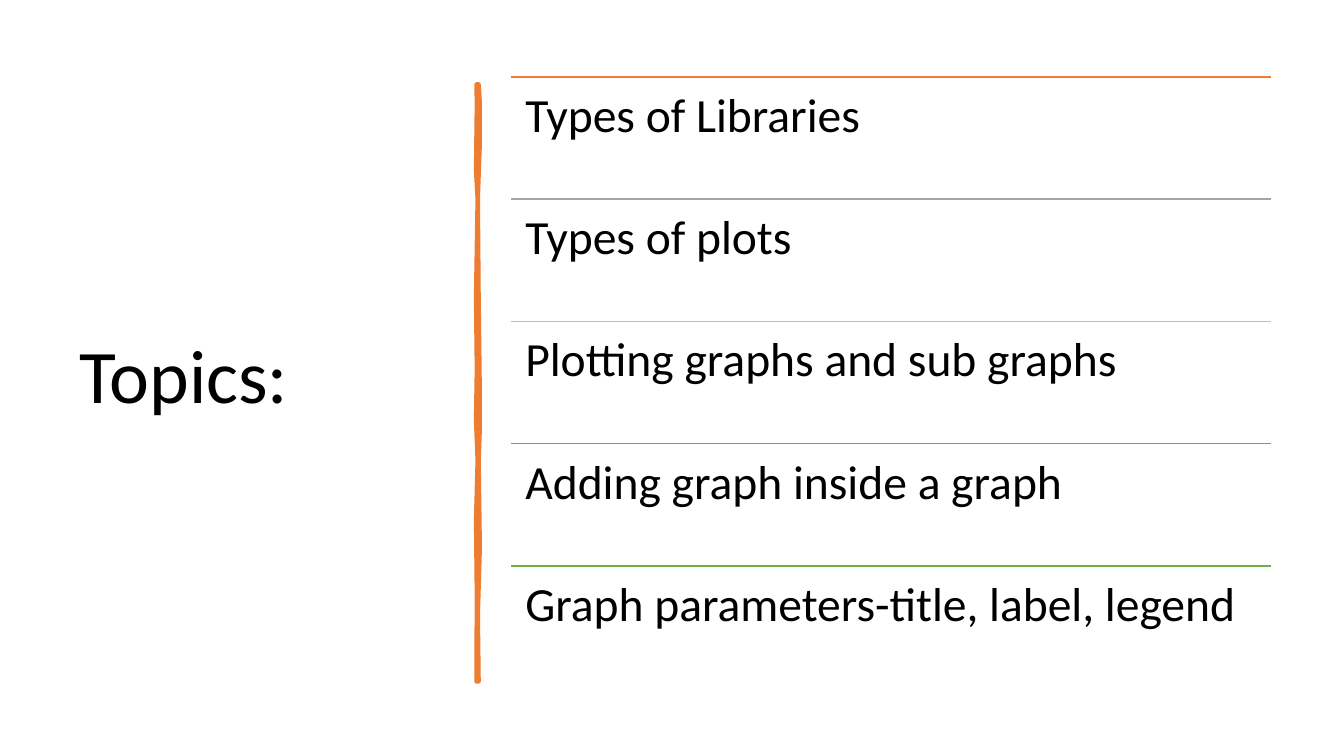
from lxml import etree
from pptx import Presentation
from pptx.dml.color import RGBColor
from pptx.enum import shapes, text
from pptx.oxml import ns
from pptx.util import Cm, Pt

FONT = "Calibri"
BLACK = "000000"
ORANGE = "ED7D31"
TOPICS = [
    ("Types of Libraries", ORANGE),
    ("Types of plots", "A5A5A5"),
    ("Plotting graphs and sub graphs", "FFC000"),
    ("Adding graph inside a graph", "5B9BD5"),
    ("Graph parameters-title, label, legend", "70AD47"),
]
LIST_LEFT, LIST_TOP, LIST_WIDTH, ROW_HEIGHT = 12.88, 1.94, 19.16, 3.08

# Edges of the hand-drawn bar as (x, y) in centimetres, from top to bottom
BAR_RIGHT = [(12.06, 2.13), (12.09, 2.6), (12.09, 3.6), (12.04, 5), (12.06, 7.5),
             (12.09, 10), (12.09, 10.8), (12.06, 11.6), (12.09, 13.8),
             (12.04, 15.5), (12.06, 17.17)]
BAR_LEFT = [(12.01, 2.13), (12.02, 2.6), (12, 4.3), (12.04, 5), (12, 7.5),
            (12.02, 9.3), (12, 10.6), (12.04, 11.6), (12, 13.1),
            (12.02, 15), (12.01, 17.17)]


def color(hex_string):
    return RGBColor.from_string(hex_string)


def format_paragraph(paragraph, size):
    paragraph.alignment = text.PP_ALIGN.LEFT
    paragraph.line_spacing = 0.9
    paragraph.font.name = FONT
    paragraph.font.size = Pt(size)
    paragraph.font.color.rgb = color(BLACK)


def set_title(slide, wording):
    title = slide.shapes.title
    title.left, title.top, title.width, title.height = Cm(1.75), Cm(1.78), Cm(9.5), Cm(15.52)
    frame = title.text_frame
    frame.text = wording
    frame.word_wrap = True
    frame.auto_size = text.MSO_AUTO_SIZE.NONE
    frame.vertical_anchor = text.MSO_ANCHOR.MIDDLE
    format_paragraph(frame.paragraphs[0], 54)


def add_wavy_bar(slide):
    outline = [(Cm(x), Cm(y)) for x, y in BAR_RIGHT + BAR_LEFT[::-1]]
    builder = slide.shapes.build_freeform(*outline[0])
    builder.add_line_segments(outline[1:], close=True)
    bar = builder.convert_to_shape()
    bar.shadow.inherit = False
    bar.fill.solid()
    bar.fill.fore_color.rgb = color(ORANGE)
    bar.line.color.rgb = color(ORANGE)
    bar.line.width = Pt(3.25)
    etree.SubElement(bar.line._get_or_add_ln(), ns.qn("a:round"))


def add_rule(slide, top, hex_string):
    rule = slide.shapes.add_connector(
        shapes.MSO_CONNECTOR.STRAIGHT,
        Cm(LIST_LEFT), Cm(top), Cm(LIST_LEFT + LIST_WIDTH), Cm(top))
    rule.line.color.rgb = color(hex_string)
    rule.line.width = Pt(1)
    etree.SubElement(rule._element.spPr, ns.qn("a:effectLst"))


def add_topic(slide, top, wording):
    box = slide.shapes.add_textbox(Cm(LIST_LEFT), Cm(top), Cm(LIST_WIDTH), Cm(ROW_HEIGHT))
    frame = box.text_frame
    frame.word_wrap = True
    frame.margin_left = frame.margin_right = Cm(0.36)
    frame.margin_top = frame.margin_bottom = Cm(0.36)
    frame.text = wording
    format_paragraph(frame.paragraphs[0], 34)


def main():
    presentation = Presentation()
    presentation.slide_width, presentation.slide_height = Cm(33.87), Cm(19.05)
    slide = presentation.slides.add_slide(presentation.slide_layouts.get_by_name("Title Only"))
    set_title(slide, "Topics:")
    add_wavy_bar(slide)
    for row, (wording, hex_string) in enumerate(TOPICS):
        top = LIST_TOP + row * ROW_HEIGHT
        add_rule(slide, top, hex_string)
        add_topic(slide, top, wording)
    presentation.save("out.pptx")


if __name__ == "__main__":
    main()
